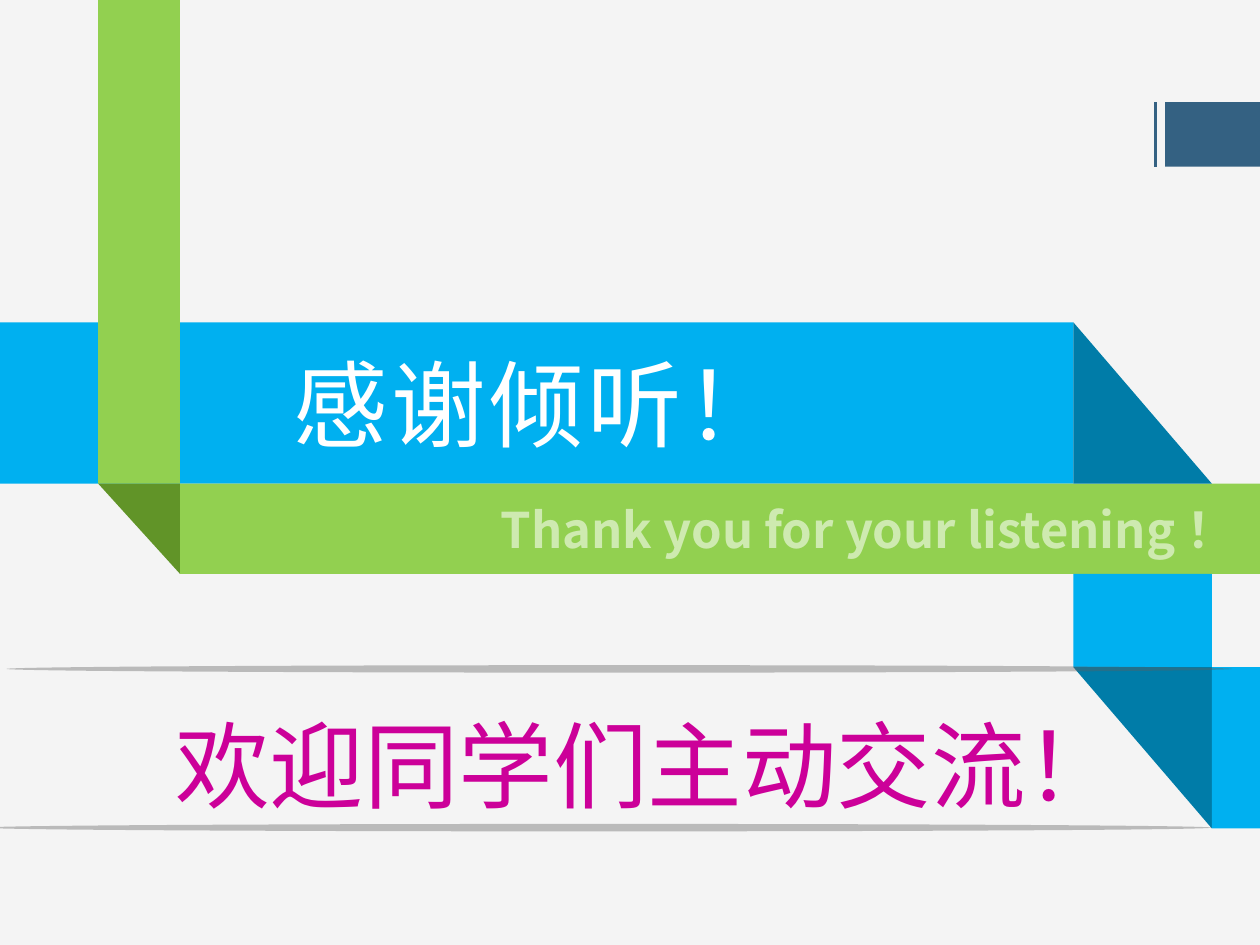
from dataclasses import dataclass
from lxml import etree
from pptx import Presentation
from pptx.dml.color import RGBColor
from pptx.enum.shapes import MSO_CONNECTOR, MSO_SHAPE
from pptx.enum.text import MSO_ANCHOR, MSO_AUTO_SIZE, PP_ALIGN
from pptx.oxml.ns import qn
from pptx.util import Cm, Pt

RECT, OVAL, TRI = MSO_SHAPE.RECTANGLE, MSO_SHAPE.OVAL, MSO_SHAPE.RIGHT_TRIANGLE
LINE = MSO_CONNECTOR.STRAIGHT
LEFT, MID, RIGHT = PP_ALIGN.LEFT, PP_ALIGN.CENTER, PP_ALIGN.RIGHT
TOP, CENTER = MSO_ANCHOR.TOP, MSO_ANCHOR.MIDDLE
FIXED, GROW = MSO_AUTO_SIZE.NONE, MSO_AUTO_SIZE.SHAPE_TO_FIT_TEXT


@dataclass(frozen=True)
class Theme:
    back: str = "F4F4F4"
    green: str = "92D050"
    moss: str = "619428"
    mint: str = "CEEAB0"
    blue: str = "00B0F0"
    deep: str = "007CA8"
    slate: str = "346182"
    pink: str = "CC0099"
    white: str = "FFFFFF"
    gray: str = "5F5F5F"
    sans: str = "Noto Sans CJK SC"
    plain: str = "Noto Sans CJK JP"
    big: int = 54
    small: int = 28


THEME = Theme()


def paint(shape, color, alpha=100):
    shape.fill.solid()
    shape.fill.fore_color.rgb = RGBColor.from_string(color)
    if alpha < 100:
        tint = shape._element.spPr.find(".//" + qn("a:srgbClr"))
        etree.SubElement(tint, qn("a:alpha"), val=str(alpha * 1000))


def add_shape(slide, kind, box, color, alpha=100, flip=False):
    shape = slide.shapes.add_shape(kind, *map(Cm, box))
    shape.shadow.inherit = False
    shape.line.fill.background()
    paint(shape, color, alpha)
    if flip:
        for side in ("flipH", "flipV"):
            shape._element.spPr.xfrm.set(side, "1")
    return shape


def write(shape, text, size=THEME.big, font=THEME.sans, color=THEME.white,
          bold=False, align=LEFT, anchor=CENTER, inset=(0, 0), wrap=True,
          fit=FIXED, space=1.0, track=0):
    frame = shape.text_frame
    frame.word_wrap, frame.auto_size = wrap, fit
    frame.vertical_anchor = anchor
    frame.margin_left = frame.margin_right = Cm(inset[0])
    frame.margin_top = frame.margin_bottom = Cm(inset[1])
    para = frame.paragraphs[0]
    para.alignment, para.line_spacing = align, space
    run = para.add_run()
    run.text = text
    run.font.size, run.font.name, run.font.bold = Pt(size), font, bold
    run.font.color.rgb = RGBColor.from_string(color)
    props = run.font._element
    etree.SubElement(props, qn("a:ea"), typeface=font)
    if track:
        props.set("spc", str(track * 100))


def green_band(slide, box, mid, tall):
    left, top, wide, high = box
    stem = 1.65
    add_shape(slide, RECT, (left, top, stem, mid - top), THEME.green)
    edge = left + stem
    pen = slide.shapes.build_freeform(Cm(left), Cm(mid))
    pen.add_line_segments([(Cm(edge), Cm(mid + tall)), (Cm(edge), Cm(mid))])
    fold = pen.convert_to_shape()
    fold.shadow.inherit = False
    fold.line.fill.background()
    paint(fold, THEME.moss)
    bar = add_shape(slide, RECT, (edge, mid, wide - stem, tall), THEME.green)
    write(bar, "Thank you for your listening ！", size=THEME.small,
          color=THEME.mint, bold=True, align=RIGHT, inset=(0.5, 0))


def blue_band(slide, box, tall, gap):
    left, top, wide, high = box
    turn, end = left + 21.64, left + 24.43
    fold = end - turn
    low = top + high - tall
    title = slide.shapes.title
    title.left, title.top, title.width, title.height = map(
        Cm, (left, top, turn - left, tall))
    paint(title, THEME.blue)
    write(title, "感谢倾听！", align=MID, track=2)
    start = top + tall + gap
    add_shape(slide, RECT, (turn, start, fold, low - start), THEME.blue)
    add_shape(slide, TRI, (turn, low, fold, tall), THEME.deep, flip=True)
    add_shape(slide, RECT, (end, low, left + wide - end, tall), THEME.blue)
    add_shape(slide, TRI, (turn, top, fold, tall), THEME.deep)


def invite(slide, box):
    left, top, wide, high = box
    note = slide.shapes.add_textbox(
        *map(Cm, (left + 3.28, top, 19.76, high)))
    write(note, "欢迎同学们主动交流！", font=THEME.plain, color=THEME.pink,
          anchor=TOP, inset=(0.25, 0.13), wrap=False, fit=GROW, space=1.3)
    for x, y in ((left + 0.13, top - 0.03), (left - 0.28, top + 3.17)):
        add_shape(slide, OVAL, (x, y, 24.71, 0.15), THEME.gray, alpha=39)


def marker(slide, box):
    left, top, wide, high = box
    add_shape(slide, RECT, (left + 0.2, top, wide - 0.2, high), THEME.slate)
    rule = slide.shapes.add_connector(
        LINE, *map(Cm, (left, top, left, top + high)))
    rule.line.color.rgb = RGBColor.from_string(THEME.slate)
    rule.line.width = Pt(1.5)
    etree.SubElement(rule._element.spPr, qn("a:effectLst"))


def main():
    deck = Presentation()
    deck.slide_width, deck.slide_height = Cm(25.4), Cm(19.05)
    slide = deck.slides.add_slide(deck.slide_layouts[5])
    paint_back = slide.background.fill
    paint_back.solid()
    paint_back.fore_color.rgb = RGBColor.from_string(THEME.back)
    green_band(slide, (1.98, 0, 23.42, 11.57), mid=9.75, tall=1.82)
    blue_band(slide, (0, 6.5, 25.4, 10.2), tall=3.25, gap=1.82)
    invite(slide, (0, 13.44, 25.4, 3.25))
    marker(slide, (23.29, 2.06, 2.11, 1.3))
    deck.save("out.pptx")


if __name__ == "__main__":
    main()
